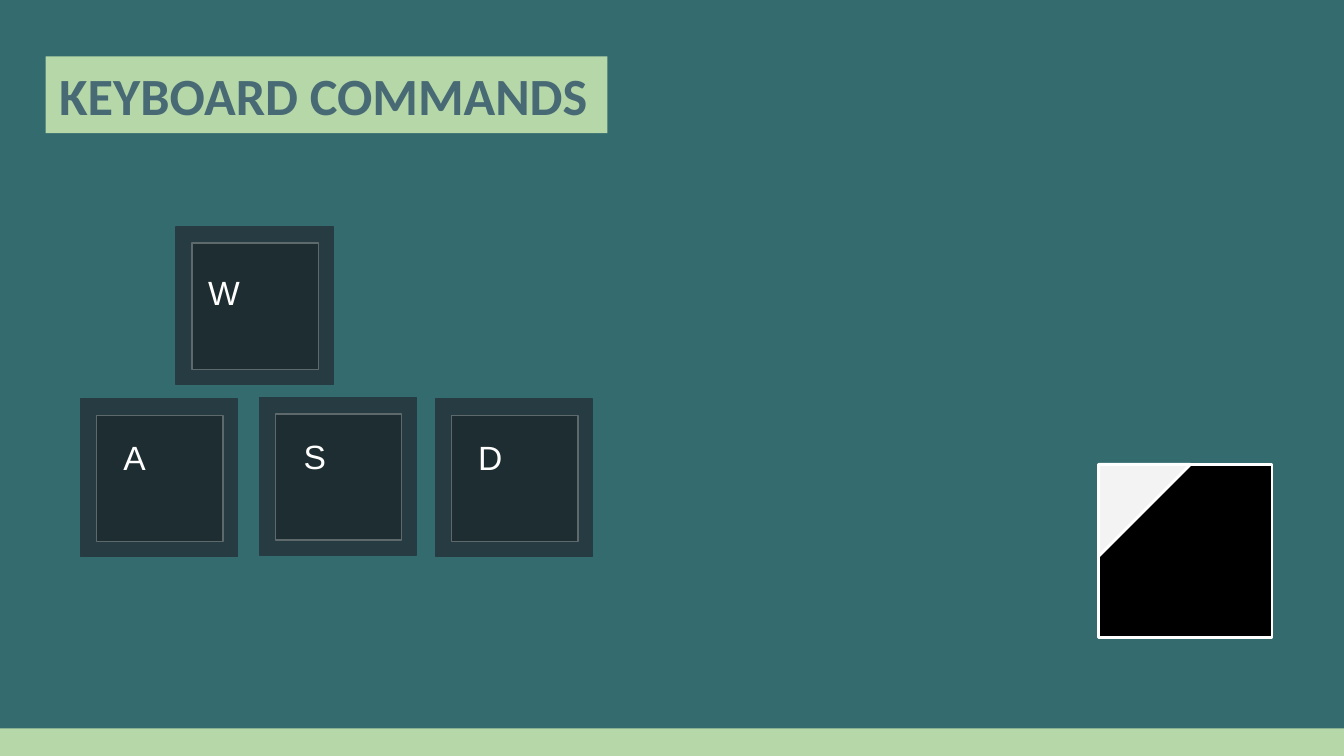
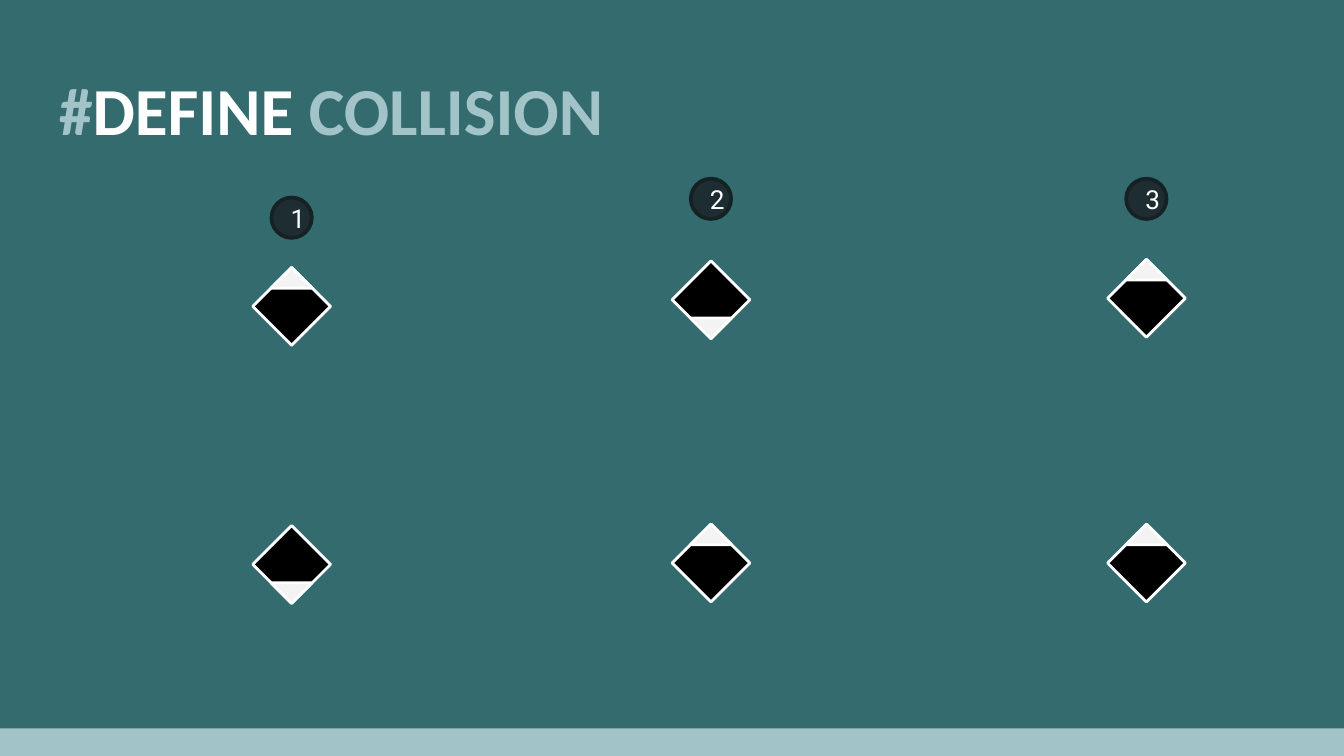
"""Build two slides: keyboard commands and collision cases."""
from math import cos, radians, sin

from pptx import Presentation
from pptx.dml.color import RGBColor
from pptx.enum.shapes import MSO_SHAPE
from pptx.enum.text import MSO_ANCHOR, MSO_AUTO_SIZE, PP_ALIGN
from pptx.util import Inches, Pt

COLOURS = {
    "background": "336B6F",
    "green": "B6D7A8",
    "blue": "A2C4C9",
    "slate": "476A74",
    "plate": "273C42",
    "face": "1E2D31",
    "face edge": "5E696C",
    "badge edge": "162124",
    "black": "000000",
    "pale": "F3F3F3",
    "white": "FFFFFF",
}

COMMANDS = {
    "title": [("KEYBOARD COMMANDS", "slate")],
    "title box": (0.34, 0.42, 4.18, 0.57),
    "title size": 28,
    "title margin": 0.05,
    "title fill": "green",
    "band": "green",
}
COLLISION = {
    "title": [("#", "blue"), ("DEFINE ", "white"), ("COLLISION", "blue")],
    "title box": (0.34, 0.32, 9.32, 0.68),
    "title size": 36,
    "title margin": 0.1,
    "title fill": None,
    "band": "blue",
}

# Key letter, key corner, offset of the letter within the key
KEYS = [
    ("W", (1.31, 1.69), (0.14, 0.23)),
    ("A", (0.6, 2.97), (0.22, 0.18)),
    ("S", (1.93, 2.96), (0.23, 0.18)),
    ("D", (3.24, 2.97), (0.22, 0.18)),
]
KEY_SIZE, FACE_SIZE = 1.17, 0.94
FACE_INSET = 0.12

UP, DOWN = 45, 225
CASES = [
    {"number": "1", "x": 2.17, "badge y": 1.62, "players": [(2.28, UP), (4.2, DOWN)]},
    {"number": "2", "x": 5.29, "badge y": 1.48, "players": [(2.23, DOWN), (4.19, UP)]},
    {"number": "3", "x": 8.53, "badge y": 1.48, "players": [(2.22, UP), (4.19, UP)]},
]
BADGE_SIZE, PLAYER_SIZE, TIP_RATIO = 0.3, 0.41, 0.53


def colour(name):
    return RGBColor.from_string(COLOURS[name])


def add_box(slide, kind, box, fill, edge=None, edge_width=0.75):
    shape = slide.shapes.add_shape(kind, *map(Inches, box))
    shape.shadow.inherit = False
    shape.fill.solid()
    shape.fill.fore_color.rgb = colour(fill)
    if edge:
        shape.line.color.rgb = colour(edge)
        shape.line.width = Pt(edge_width)
    else:
        shape.line.fill.background()
    return shape


def around(x, y, size):
    return x - size / 2, y - size / 2, size, size


def format_run(run, font, size, tint, bold=False):
    run.font.name = font
    run.font.size = Pt(size)
    run.font.bold = bold
    run.font.color.rgb = colour(tint)


def add_slide(prs, content):
    slide = prs.slides.add_slide(prs.slide_layouts[5])
    title = slide.shapes.title
    title.left, title.top, title.width, title.height = map(Inches, content["title box"])
    if content["title fill"]:
        title.fill.solid()
        title.fill.fore_color.rgb = colour(content["title fill"])
    frame = title.text_frame
    frame.auto_size = MSO_AUTO_SIZE.NONE
    frame.word_wrap = True
    frame.vertical_anchor = MSO_ANCHOR.TOP
    frame.margin_left = frame.margin_right = Inches(0.1)
    frame.margin_top = frame.margin_bottom = Inches(content["title margin"])
    heading = frame.paragraphs[0]
    heading.alignment = PP_ALIGN.LEFT
    for words, tint in content["title"]:
        run = heading.add_run()
        run.text = words
        format_run(run, "Calibri", content["title size"], tint, bold=True)
    add_box(slide, MSO_SHAPE.RECTANGLE, (0, 5.42, 10, 0.21), content["band"])
    return slide


def add_key(slide, letter, corner, offset):
    left, top = corner
    add_box(slide, MSO_SHAPE.RECTANGLE, (left, top, KEY_SIZE, KEY_SIZE), "plate", "plate")
    add_box(slide, MSO_SHAPE.RECTANGLE,
            (left + FACE_INSET, top + FACE_INSET, FACE_SIZE, FACE_SIZE), "face", "face edge")
    label = slide.shapes.add_textbox(
        Inches(left + offset[0]), Inches(top + offset[1]), Inches(0.38), Inches(0.4))
    frame = label.text_frame
    frame.word_wrap = True
    frame.margin_left = frame.margin_right = Inches(0.1)
    frame.margin_top = frame.margin_bottom = Inches(0.1)
    frame.text = letter
    format_run(frame.paragraphs[0].runs[0], "Arial", 18, "white")


def add_player(slide, x, y, size, turn=0):
    body = add_box(slide, MSO_SHAPE.RECTANGLE, around(x, y, size), "black", "white", 1.5)
    body.rotation = turn
    tip_size = size * TIP_RATIO
    reach = (size - tip_size) / 2 * 2 ** 0.5
    heading = radians(turn + 225)
    tip_box = around(x + reach * cos(heading), y + reach * sin(heading), tip_size)
    tip = add_box(slide, MSO_SHAPE.RIGHT_TRIANGLE, tip_box, "pale", "white", 1.5)
    tip.rotation = (turn + 90) % 360


def add_badge(slide, number, x, y):
    badge = add_box(slide, MSO_SHAPE.OVAL, around(x, y, BADGE_SIZE), "face", "badge edge", 2)
    frame = badge.text_frame
    frame.text = number
    frame.vertical_anchor = MSO_ANCHOR.MIDDLE
    frame.paragraphs[0].alignment = PP_ALIGN.CENTER
    format_run(frame.paragraphs[0].runs[0], "Roboto", 14, "white")


def main():
    prs = Presentation()
    prs.slide_width = Inches(10)
    prs.slide_height = prs.slide_width * 9 // 16
    backdrop = prs.slide_master.background.fill
    backdrop.solid()
    backdrop.fore_color.rgb = colour("background")

    commands = add_slide(prs, COMMANDS)
    for letter, corner, offset in KEYS:
        add_key(commands, letter, corner, offset)
    add_player(commands, 8.82, 4.1, 1.29)

    collision = add_slide(prs, COLLISION)
    heading = collision.shapes.title.text_frame.paragraphs[0]
    heading.line_spacing = 1.15
    heading.space_after = Pt(16)
    for case in CASES:
        add_badge(collision, case["number"], case["x"], case["badge y"])
        for y, turn in case["players"]:
            add_player(collision, case["x"], y, PLAYER_SIZE, turn)

    prs.save("out.pptx")


if __name__ == "__main__":
    main()
